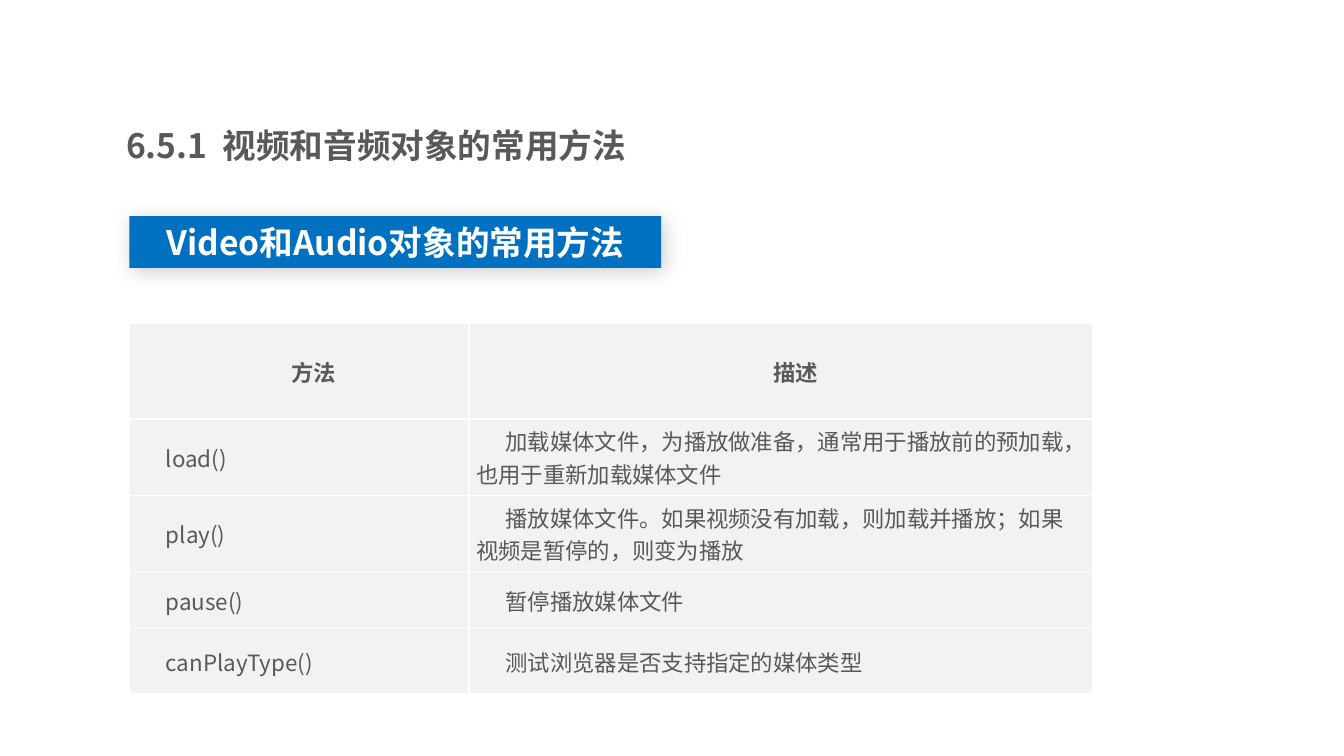
from dataclasses import dataclass

from lxml.etree import SubElement
from pptx import Presentation
from pptx.dml.color import RGBColor
from pptx.enum.shapes import MSO_SHAPE
from pptx.enum.text import MSO_ANCHOR, PP_ALIGN
from pptx.oxml import parse_xml
from pptx.oxml.ns import nsdecls, qn
from pptx.util import Cm, Pt


@dataclass(frozen=True)
class Theme:
    font: str = "Noto Sans CJK SC"
    ink: str = "595959"
    accent: str = "0070C0"
    light: str = "FFFFFF"
    cell: str = "F2F2F2"
    shadow: str = "000000"
    heading_size: int = 24
    table_size: int = 16


@dataclass(frozen=True)
class Box:
    """A region of the page, in centimetres."""
    left: float
    top: float
    width: float
    height: float

    def lengths(self):
        return Cm(self.left), Cm(self.top), Cm(self.width), Cm(self.height)


THEME = Theme()
COLUMN_WIDTHS = (8.56, 15.72)
ROW_HEIGHTS = (2.41, 1.93, 1.93, 1.42, 1.65)
METHODS = (
    ("方法", "描述"),
    ("load()", "加载媒体文件，为播放做准备，通常用于播放前的预加载，也用于重新加载媒体文件"),
    ("play()", "播放媒体文件。如果视频没有加载，则加载并播放；如果视频是暂停的，则变为播放"),
    ("pause()", "暂停播放媒体文件"),
    ("canPlayType()", "测试浏览器是否支持指定的媒体类型"),
)


def write(para, text, size, color, bold, align=PP_ALIGN.LEFT):
    para.text = text
    para.alignment = align
    font = para.font
    font.size = Pt(size)
    font.bold = bold
    font.color.rgb = RGBColor.from_string(color)
    font.name = THEME.font
    properties = para._p.pPr.find(qn("a:defRPr"))
    SubElement(properties, qn("a:ea"), typeface=THEME.font)


def add_title(page, box, text):
    frame = page.shapes.add_textbox(*box.lengths()).text_frame
    frame.word_wrap = True
    frame.vertical_anchor = MSO_ANCHOR.MIDDLE
    frame.margin_left = frame.margin_right = 0
    frame.margin_top = frame.margin_bottom = Cm(0.18)
    write(frame.paragraphs[0], text, THEME.heading_size, THEME.ink, True)


def add_soft_shadow(shape):
    shape.shadow.inherit = False
    effects = shape._element.spPr.find(qn("a:effectLst"))
    effects.append(parse_xml(
        f'<a:outerShdw {nsdecls("a")} blurRad="{Pt(15)}" dist="{Pt(3)}" '
        f'dir="{45 * 60000}" algn="tl" rotWithShape="0">'
        f'<a:srgbClr val="{THEME.shadow}"><a:alpha val="20000"/></a:srgbClr>'
        '</a:outerShdw>'))


def add_banner(page, box, text):
    banner = page.shapes.add_shape(MSO_SHAPE.RECTANGLE, *box.lengths())
    banner.fill.solid()
    banner.fill.fore_color.rgb = RGBColor.from_string(THEME.accent)
    banner.line.fill.background()
    add_soft_shadow(banner)
    frame = banner.text_frame
    frame.word_wrap = True
    frame.vertical_anchor = MSO_ANCHOR.MIDDLE
    write(frame.paragraphs[0], text, THEME.heading_size, THEME.light, True,
          PP_ALIGN.CENTER)


def add_cell_borders(cell):
    properties = cell._tc.get_or_add_tcPr()
    for side in ("lnL", "lnR", "lnT", "lnB"):
        properties.append(parse_xml(
            f'<a:{side} {nsdecls("a")} w="{Pt(1)}"><a:solidFill>'
            f'<a:srgbClr val="{THEME.light}"/></a:solidFill></a:{side}>'))


def fill_cell(cell, text, is_header):
    cell.vertical_anchor = MSO_ANCHOR.MIDDLE
    cell.margin_left = cell.margin_right = Cm(0.18)
    cell.margin_top = cell.margin_bottom = 0
    add_cell_borders(cell)
    cell.fill.solid()
    cell.fill.fore_color.rgb = RGBColor.from_string(THEME.cell)
    para = cell.text_frame.paragraphs[0]
    write(para, text, THEME.table_size, THEME.ink, is_header,
          PP_ALIGN.CENTER if is_header else PP_ALIGN.LEFT)
    para._p.pPr.set("indent", str(Cm(0.74)))


def add_method_table(page, box):
    table = page.shapes.add_table(
        len(ROW_HEIGHTS), len(COLUMN_WIDTHS), *box.lengths()).table
    table.first_row = False
    table.horz_banding = False
    for column, width in zip(table.columns, COLUMN_WIDTHS):
        column.width = Cm(width)
    for row, height, texts in zip(table.rows, ROW_HEIGHTS, METHODS):
        row.height = Cm(height)
        for cell, text in zip(row.cells, texts):
            fill_cell(cell, text, is_header=texts is METHODS[0])


def main():
    deck = Presentation()
    deck.slide_width, deck.slide_height = Cm(33.87), Cm(19.05)
    page = deck.slides.add_slide(deck.slide_layouts[6])
    add_title(page, Box(3.18, 2.95, 13.36, 1.4), "6.5.1  视频和音频对象的常用方法")
    add_banner(page, Box(3.26, 5.45, 13.4, 1.3), "Video和Audio对象的常用方法")
    add_method_table(
        page, Box(3.26, 8.15, sum(COLUMN_WIDTHS), sum(ROW_HEIGHTS)))
    deck.save("out.pptx")


if __name__ == "__main__":
    main()
